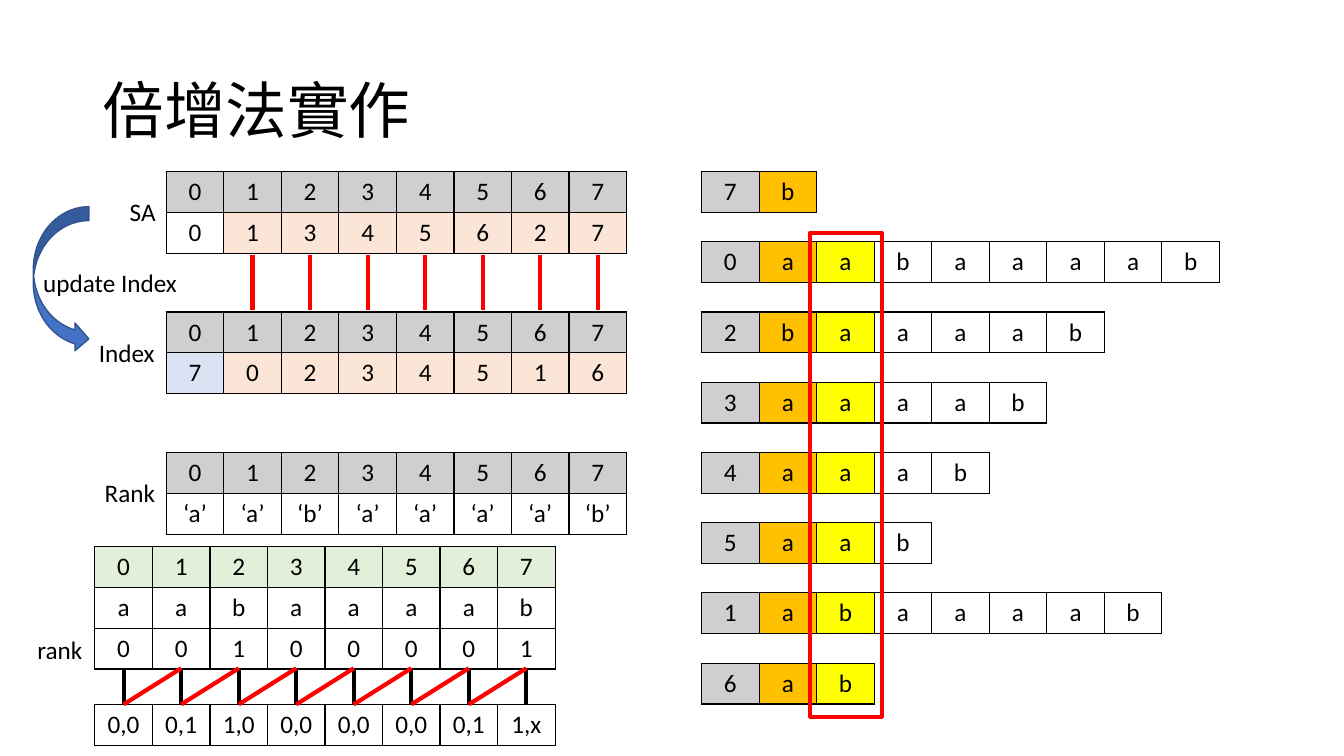
"""Build the slide on implementing suffix arrays by prefix doubling."""
from pptx import Presentation
from pptx.dml.color import RGBColor
from pptx.enum import shapes, text
from pptx.oxml import parse_xml
from pptx.oxml.ns import nsdecls
from pptx.util import Cm, Pt

COLORS = {
    "black": "000000", "red": "FF0000", "gray": "D0CECE", "peach": "FBE5D6",
    "pale_blue": "DAE3F3", "green": "E2F0D9", "orange": "FFC000",
    "yellow": "FFFF00", "blue": "4472C4", "dark_blue": "325491",
}
FONT = "Calibri"
CELL_WIDTH, CELL_HEIGHT = 1.45, 1.03
TOP, STEP = 4.32, 1.77
ARRAY_LEFT, RANK_LEFT, SUFFIX_LEFT = 4.19, 2.39, 17.68

WORD = "aabaaaab"
POSITIONS = list(range(len(WORD)))
SUFFIX_ORDER = [7, 0, 2, 3, 4, 5, 1, 6]
ranks = ["ab".index(letter) for letter in WORD]
pairs = [f"{rank},{following}" for rank, following in zip(ranks, ranks[1:] + ["x"])]

presentation = Presentation()
presentation.slide_width, presentation.slide_height = Cm(33.87), Cm(19.05)
slide = presentation.slides.add_slide(presentation.slide_layouts[5])


def add_grid(left, top, rows, fills):
    """Add a bordered table; a fill of None leaves the cell clear."""
    columns = len(rows[0])
    table = slide.shapes.add_table(
        len(rows), columns, Cm(left), Cm(top),
        Cm(columns * CELL_WIDTH), Cm(len(rows) * CELL_HEIGHT)).table
    table.first_row = table.horz_banding = False
    for column in table.columns:
        column.width = Cm(CELL_WIDTH)
    for row_index, row in enumerate(rows):
        table.rows[row_index].height = Cm(CELL_HEIGHT)
        for column_index, value in enumerate(row):
            cell = table.cell(row_index, column_index)
            cell.text = str(value)
            cell.vertical_anchor = text.MSO_ANCHOR.MIDDLE
            paragraph = cell.text_frame.paragraphs[0]
            paragraph.alignment = text.PP_ALIGN.CENTER
            paragraph.font.name, paragraph.font.size = FONT, Pt(18)
            paragraph.font.color.rgb = RGBColor.from_string(COLORS["black"])
            properties = cell._tc.get_or_add_tcPr()
            for side in ("lnL", "lnR", "lnT", "lnB"):
                properties.append(parse_xml(
                    f'<a:{side} {nsdecls("a")} w="12700"><a:solidFill>'
                    f'<a:srgbClr val="{COLORS["black"]}"/></a:solidFill></a:{side}>'))
            fill = fills[row_index][column_index]
            if fill:
                cell.fill.solid()
                cell.fill.fore_color.rgb = RGBColor.from_string(COLORS[fill])
            else:
                cell.fill.background()


def add_line(x1, y1, x2, y2, color):
    """Add a thick straight line without a shadow."""
    line = slide.shapes.add_connector(
        shapes.MSO_CONNECTOR.STRAIGHT, Cm(x1), Cm(y1), Cm(x2), Cm(y2))
    line.line.width = Pt(3)
    line.line.color.rgb = RGBColor.from_string(COLORS[color])
    line._element.spPr.append(parse_xml(f'<a:effectLst {nsdecls("a")}/>'))


title = slide.shapes.title
title.left, title.top, title.width, title.height = Cm(2.33), Cm(1.01), Cm(29.21), Cm(3.68)
title.text_frame.text = "倍增法實作"
title.text_frame.vertical_anchor = text.MSO_ANCHOR.MIDDLE
heading = title.text_frame.paragraphs[0]
heading.alignment = text.PP_ALIGN.LEFT
heading.line_spacing = 0.9
heading.font.name, heading.font.size = FONT, Pt(44)
heading.font.color.rgb = RGBColor.from_string(COLORS["black"])

arrays = [
    (0, [0, 1, 3, 4, 5, 6, 2, 7], [None] + ["peach"] * 7),
    (2, SUFFIX_ORDER, ["pale_blue"] + ["peach"] * 7),
    (4, [f"‘{letter}’" for letter in WORD], [None] * 8),
]
for slot, values, fills in arrays:
    add_grid(ARRAY_LEFT, TOP + slot * STEP, [POSITIONS, values], [["gray"] * 8, fills])

for slot, start in enumerate(SUFFIX_ORDER):
    suffix = [start, *WORD[start:]]
    fills = ["gray", "orange", "yellow"] + [None] * 6
    add_grid(SUFFIX_LEFT, TOP + slot * STEP, [suffix], [fills])

rank_rows = [
    (13.77, POSITIONS, "green"),
    (14.8, WORD, None),
    (15.83, ranks, None),
    (17.75, pairs, None),
]
for top, values, fill in rank_rows:
    add_grid(RANK_LEFT, top, [values], [[fill] * 8])

for position in POSITIONS:
    center = RANK_LEFT + (position + 0.5) * CELL_WIDTH
    add_line(center, 16.87, center, 17.73, "black")
for position in POSITIONS[:-1]:
    center = RANK_LEFT + (position + 0.5) * CELL_WIDTH
    add_line(center + CELL_WIDTH, 16.84, center, 17.75, "red")
for position in POSITIONS[1:]:
    center = ARRAY_LEFT + (position + 0.5) * CELL_WIDTH
    add_line(center, 6.43, center, 7.8, "red")

arrow = slide.shapes.add_shape(
    shapes.MSO_SHAPE.CURVED_RIGHT_ARROW, Cm(0.84), Cm(5.21), Cm(1.4), Cm(3.68))
arrow.shadow.inherit = False
arrow.fill.solid()
arrow.fill.fore_color.rgb = RGBColor.from_string(COLORS["blue"])
arrow.line.color.rgb = RGBColor.from_string(COLORS["dark_blue"])
arrow.line.width = Pt(1)

frame = slide.shapes.add_shape(
    shapes.MSO_SHAPE.RECTANGLE, Cm(20.42), Cm(5.87), Cm(1.8), Cm(12.19))
frame.shadow.inherit = False
frame.fill.background()
frame.line.color.rgb = RGBColor.from_string(COLORS["red"])
frame.line.width = Pt(3)

labels = [
    ("SA", 3.02, 4.83, 1.17, False),
    ("Index", 2.24, 8.38, 1.93, False),
    ("Rank", 2.39, 11.91, 1.8, False),
    ("rank", 0.69, 15.85, 1.65, False),
    ("update Index", 0.84, 6.6, 4.27, True),
]
for caption, left, top, width, wraps in labels:
    label = slide.shapes.add_textbox(Cm(left), Cm(top), Cm(width), Cm(1.03))
    label.text_frame.text = caption
    label.text_frame.word_wrap = wraps
    label.text_frame.auto_size = text.MSO_AUTO_SIZE.SHAPE_TO_FIT_TEXT
    paragraph = label.text_frame.paragraphs[0]
    paragraph.font.name, paragraph.font.size = FONT, Pt(18)
    paragraph.font.color.rgb = RGBColor.from_string(COLORS["black"])

presentation.save("out.pptx")
